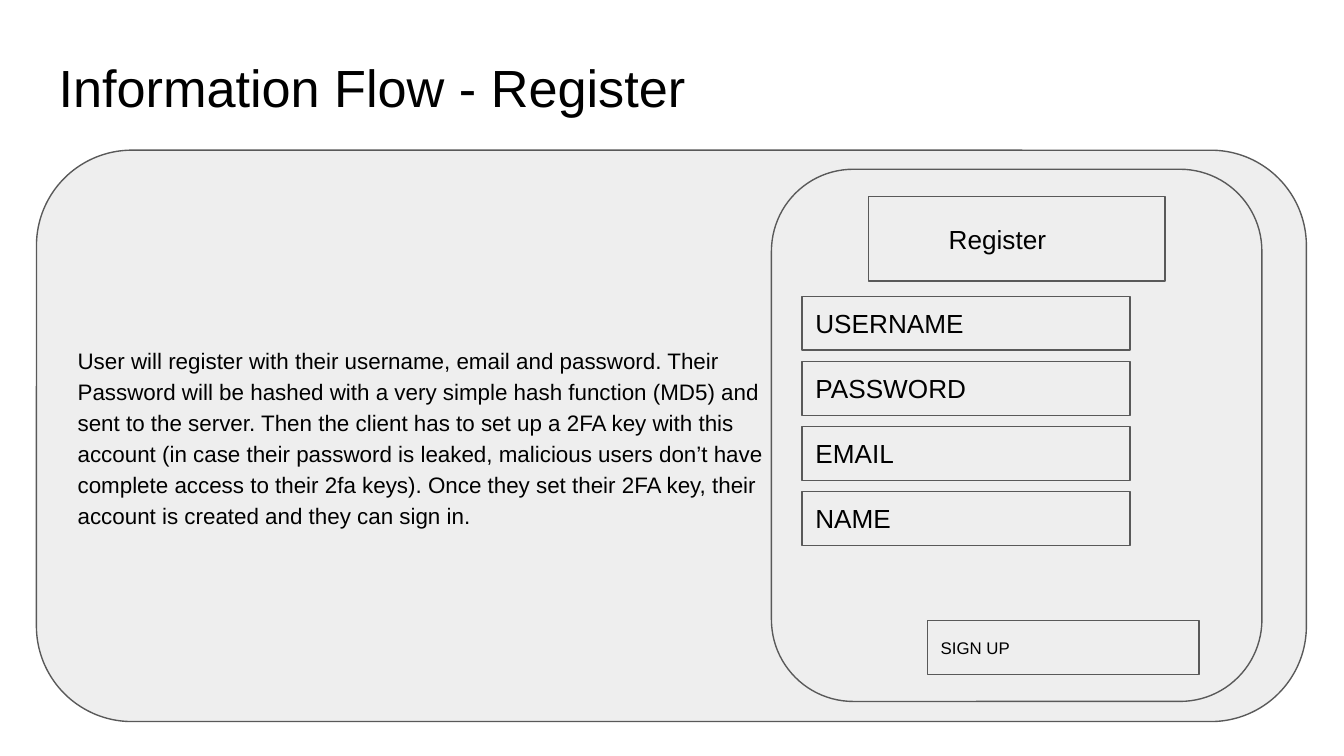
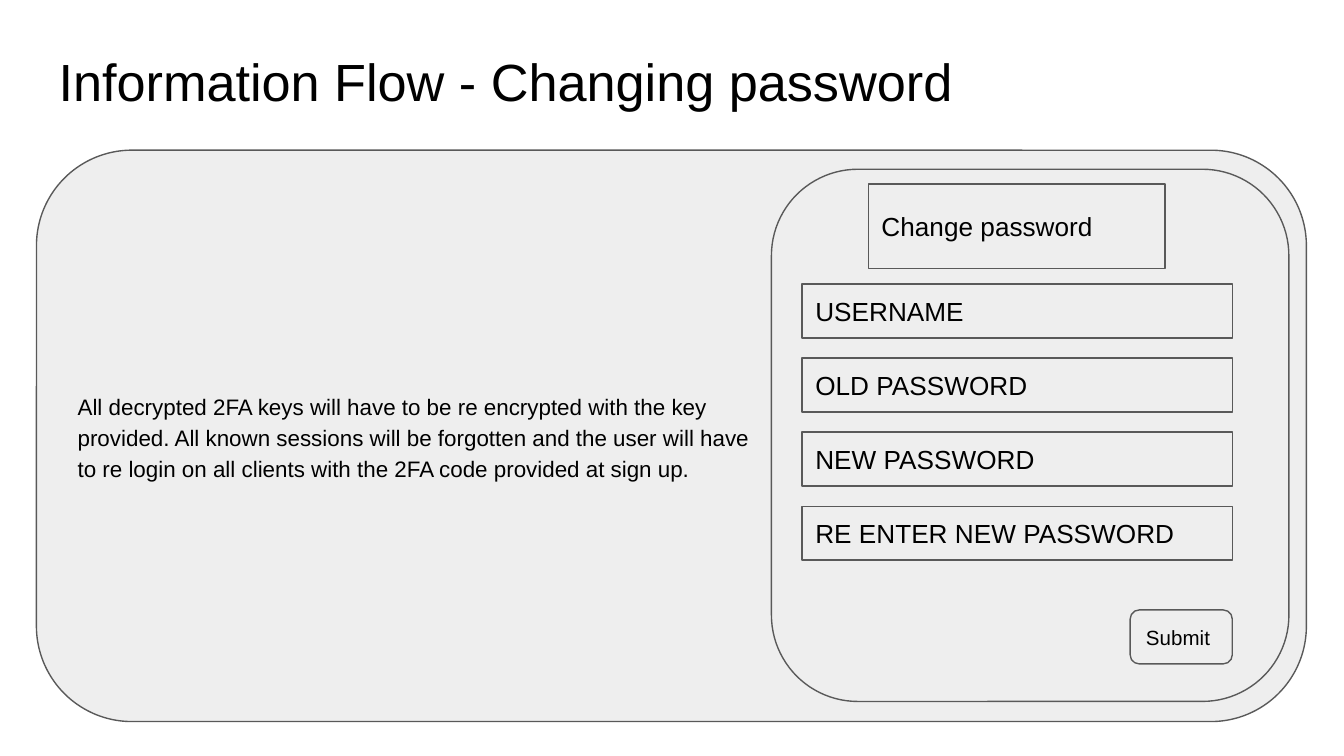
"""Builds two information flow slides, each with a description and a mock form."""
from collections import namedtuple

from pptx import Presentation
from pptx.dml.color import RGBColor
from pptx.enum.shapes import MSO_SHAPE
from pptx.enum.text import MSO_ANCHOR, PP_ALIGN
from pptx.util import Cm, Pt

RECT = MSO_SHAPE.RECTANGLE
ROUNDED = MSO_SHAPE.ROUNDED_RECTANGLE
TOP, MIDDLE = MSO_ANCHOR.TOP, MSO_ANCHOR.MIDDLE
LEFT = PP_ALIGN.LEFT

FONT = "Arial"
INK, PANEL_FILL, OUTLINE = "000000", "EEEEEE", "595959"
CORNER = 0.167
INSET = 0.25
FIELD_HEIGHT = 1.02
HEADING_HEIGHT = 1.6

Box = namedtuple("Box", "left top width height")
Form = namedtuple(
    "Form", "box heading heading_top indent fields field_width pitch button")
Button = namedtuple("Button", "label shape left top width size")

REGISTER_TEXT = [
    "User will register with their username, email and password. Their",
    "Password will be hashed with a very simple hash function (MD5) and",
    "sent to the server. Then the client has to set up a 2FA key with this",
    "account (in case their password is leaked, malicious users don’t have",
    "complete access to their 2fa keys). Once they set their 2FA key, their",
    "account is created and they can sign in.",
]
CHANGE_TEXT = [
    "All decrypted 2FA keys will have to be re encrypted with the key",
    "provided. All known sessions will be forgotten and the user will have",
    "to re login on all clients with the 2FA code provided at sign up.",
]
REGISTER_FORM = Form(
    Box(14.58, 3.2, 9.27, 10.06), "Register", 0.51, 1.27,
    ["USERNAME", "PASSWORD", "EMAIL", "NAME"], 6.2, 1.23,
    Button("SIGN UP", RECT, 2.95, 8.53, 5.13, 9))
CHANGE_FORM = Form(
    Box(14.58, 3.2, 9.78, 10.06), "Change password", 0.28, 0,
    ["USERNAME", "OLD PASSWORD", "NEW PASSWORD", "RE ENTER NEW PASSWORD"],
    8.13, 1.4,
    Button("Submit", ROUNDED, 6.78, 8.33, 1.93, 11))


def color(hex_code):
    """Return the colour for a hex string."""
    return RGBColor.from_string(hex_code)


def lengths(box):
    """Return the sides of a box as slide lengths."""
    return [Cm(side) for side in box]


def write(frame, lines, size=14, anchor=MIDDLE, spacing=None, indent=0):
    """Fill a text frame with one paragraph per line."""
    frame.word_wrap = True
    frame.vertical_anchor = anchor
    frame.margin_left = frame.margin_right = Cm(INSET)
    frame.margin_top = frame.margin_bottom = Cm(INSET)
    for number, line in enumerate(lines):
        paragraph = frame.add_paragraph() if number else frame.paragraphs[0]
        paragraph.alignment = LEFT
        if spacing:
            paragraph.line_spacing = spacing
        if indent:
            properties = paragraph._p.get_or_add_pPr()
            properties.set("marL", "0")
            properties.set("indent", str(Cm(indent)))
        run = paragraph.add_run()
        run.text = line
        run.font.name = FONT
        run.font.size = Pt(size)
        run.font.color.rgb = color(INK)


def add_block(slide, kind, box, lines=(), **text_format):
    """Add an outlined grey block, with text when lines are given."""
    block = slide.shapes.add_shape(kind, *lengths(box))
    block.shadow.inherit = False
    block.fill.solid()
    block.fill.fore_color.rgb = color(PANEL_FILL)
    block.line.color.rgb = color(OUTLINE)
    block.line.width = Pt(0.75)
    if kind == ROUNDED:
        block.adjustments[0] = CORNER
    write(block.text_frame, lines, **text_format)


def add_title(slide, box, title):
    """Add the slide title."""
    heading = slide.shapes.add_textbox(*lengths(box))
    write(heading.text_frame, [title], size=28, anchor=TOP)


def add_form(slide, form):
    """Add a mock form: heading, stacked fields and a button."""
    left, top = form.box.left, form.box.top
    add_block(slide, ROUNDED, form.box)

    heading_top = top + form.heading_top
    add_block(slide, RECT, Box(left + 1.83, heading_top, 5.61, HEADING_HEIGHT),
              [form.heading], indent=form.indent)

    fields_top = heading_top + HEADING_HEIGHT + 0.29
    for row, field in enumerate(form.fields):
        add_block(slide, RECT,
                  Box(left + 0.58, fields_top + row * form.pitch,
                      form.field_width, FIELD_HEIGHT), [field])

    button = form.button
    add_block(slide, button.shape,
              Box(left + button.left, top + button.top,
                  button.width, FIELD_HEIGHT),
              [button.label], size=button.size)


def add_flow_slide(deck, title, title_top, description, form):
    """Add one slide with a title, a description panel and a form."""
    slide = deck.slides.add_slide(deck.slide_layouts[6])
    add_title(slide, Box(0.86, title_top, 23.67, 1.6), title)
    add_block(slide, ROUNDED, Box(0.69, 2.84, 24, 10.8), description,
              size=12, spacing=1.15)
    add_form(slide, form)


def main():
    """Build and save the deck."""
    deck = Presentation()
    deck.slide_width, deck.slide_height = Cm(25.4), Cm(14.29)
    add_flow_slide(deck, "Information Flow - Register", 0.79,
                   REGISTER_TEXT, REGISTER_FORM)
    add_flow_slide(deck, "Information Flow - Changing password", 0.69,
                   CHANGE_TEXT, CHANGE_FORM)
    deck.save("out.pptx")


if __name__ == "__main__":
    main()
